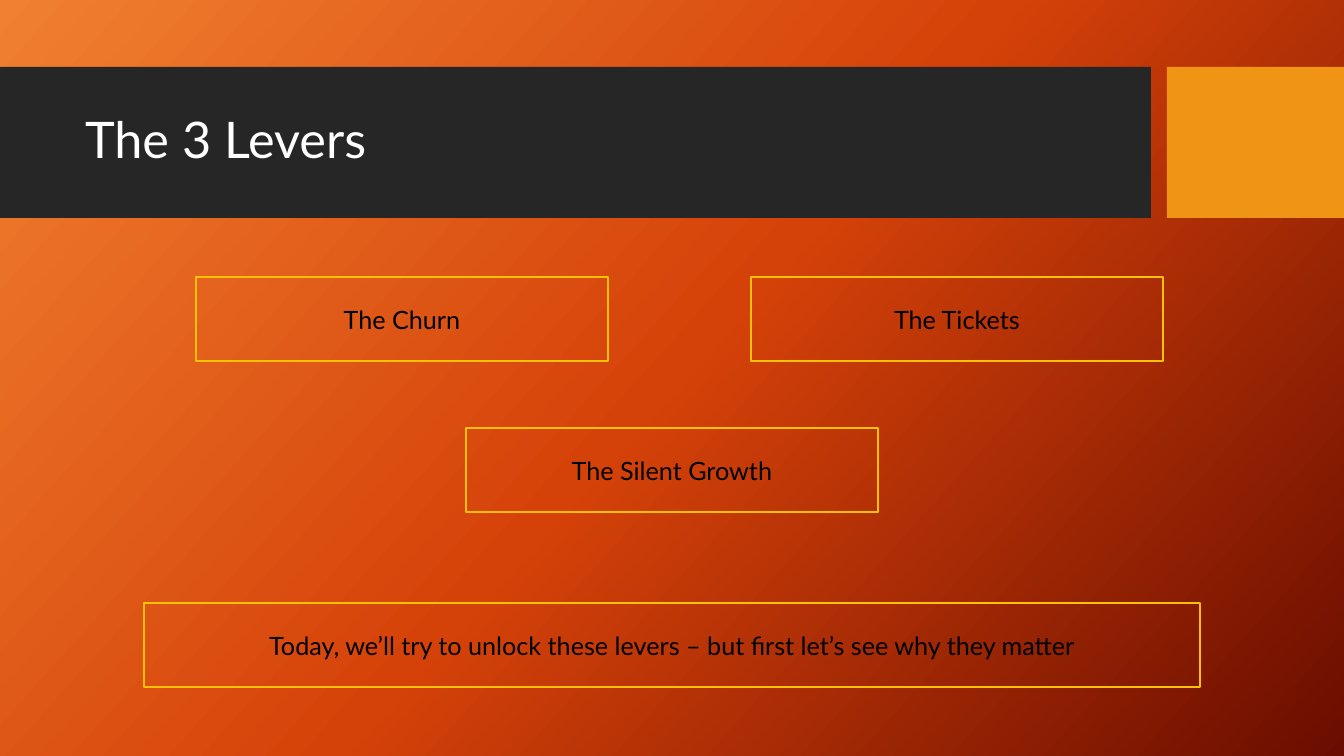
"""Build the slide that introduces the three levers."""
import copy
from dataclasses import dataclass

import pptx
import pptx.dml.color
import pptx.enum.dml
import pptx.enum.shapes
import pptx.enum.text
import pptx.oxml.ns
import pptx.presentation
import pptx.shapes.autoshape
import pptx.shapes.base
import pptx.slide
import pptx.text.text
import pptx.util

EMU_PER_PX = 914400 / 100.8
SLIDE_WIDTH, SLIDE_HEIGHT = 1344, 756
FONT = "Lato"
BAND_TOP, BAND_HEIGHT = 67, 151
BOX_WIDTH, BOX_HEIGHT = 412, 84
UPPER_ROW, MIDDLE_ROW, LOWER_ROW = 277, 428, 603
GRADIENT_STOPS = ((0, "F18031"), (0.5, "D54209"), (1, "6A0D00"))
GRADIENT_ANGLE = 42


@dataclass(frozen=True)
class Band:
    """A filled block of the header."""

    left: int
    width: int
    colour: str


@dataclass(frozen=True)
class Box:
    """An outlined box with a centred caption."""

    left: int
    top: int
    caption: str
    width: int = BOX_WIDTH


BANDS = (Band(0, 1151, "262626"), Band(1167, 177, "F09415"))
BOXES = (
    Box(196, UPPER_ROW, "The Churn"),
    Box(751, UPPER_ROW, "The Tickets"),
    Box((SLIDE_WIDTH - BOX_WIDTH) // 2, MIDDLE_ROW, "The Silent Growth"),
    Box(144, LOWER_ROW,
        "Today, we’ll try to unlock these levers – but first let’s see why they matter",
        1056),
)


def px(length: int) -> pptx.util.Emu:
    """Turn pixels into EMU."""
    return pptx.util.Emu(round(length * EMU_PER_PX))


def rgb(colour: str) -> pptx.dml.color.RGBColor:
    """Turn a hex string into a colour."""
    return pptx.dml.color.RGBColor.from_string(colour)


def paint_background(slide: pptx.slide.Slide) -> None:
    """Fill the background with the diagonal three-colour gradient."""
    fill = slide.background.fill
    fill.gradient()
    fill.gradient_angle = 360 - GRADIENT_ANGLE
    stop_list = slide.element.find(".//" + pptx.oxml.ns.qn("a:gsLst"))
    stop_list.insert(1, copy.deepcopy(stop_list[0]))
    for stop, (position, colour) in zip(fill.gradient_stops, GRADIENT_STOPS):
        stop.position = position
        stop.color.rgb = rgb(colour)


def add_rectangle(slide: pptx.slide.Slide, left: int, top: int, width: int,
                  height: int) -> pptx.shapes.autoshape.Shape:
    """Add a rectangle without a shadow."""
    shape = slide.shapes.add_shape(
        pptx.enum.shapes.MSO_SHAPE.RECTANGLE, px(left), px(top), px(width), px(height))
    shape.shadow.inherit = False
    return shape


def write_text(shape: pptx.shapes.autoshape.Shape, text: str, size: int, colour: str,
               alignment: pptx.enum.text.PP_ALIGN) -> pptx.text.text._Paragraph:
    """Put one formatted, vertically centred paragraph in a shape."""
    frame = shape.text_frame
    frame.text = text
    frame.word_wrap = True
    frame.auto_size = pptx.enum.text.MSO_AUTO_SIZE.NONE
    frame.vertical_anchor = pptx.enum.text.MSO_ANCHOR.MIDDLE
    paragraph = frame.paragraphs[0]
    paragraph.alignment = alignment
    font = paragraph.runs[0].font
    font.name = FONT
    font.size = pptx.util.Pt(size)
    font.color.rgb = rgb(colour)
    return paragraph


def draw_band(slide: pptx.slide.Slide, band: Band) -> None:
    """Draw one header block."""
    shape = add_rectangle(slide, band.left, BAND_TOP, band.width, BAND_HEIGHT)
    shape.fill.solid()
    shape.fill.fore_color.rgb = rgb(band.colour)
    shape.line.fill.background()


def draw_title(slide: pptx.slide.Slide) -> None:
    """Place the title in front of the header blocks."""
    title = slide.shapes.title
    title.left, title.top, title.width, title.height = map(px, (75, 83, 1059, 119))
    paragraph = write_text(title, "The 3 Levers", 36, "FFFFFF", pptx.enum.text.PP_ALIGN.LEFT)
    paragraph.line_spacing = 0.9
    title.element.getparent().append(title.element)


def draw_box(slide: pptx.slide.Slide, box: Box) -> None:
    """Draw one outlined box with its caption."""
    shape = add_rectangle(slide, box.left, box.top, box.width, BOX_HEIGHT)
    shape.fill.background()
    shape.line.color.rgb = rgb("FFC107")
    shape.line.width = pptx.util.Pt(1)
    write_text(shape, box.caption, 18, "000000", pptx.enum.text.PP_ALIGN.CENTER)


def main() -> None:
    """Build and save the presentation."""
    presentation = pptx.Presentation()
    presentation.slide_width = px(SLIDE_WIDTH)
    presentation.slide_height = px(SLIDE_HEIGHT)
    slide = presentation.slides.add_slide(presentation.slide_layouts.get_by_name("Title Only"))
    paint_background(slide)
    for band in BANDS:
        draw_band(slide, band)
    draw_title(slide)
    for box in BOXES:
        draw_box(slide, box)
    presentation.save("out.pptx")


if __name__ == "__main__":
    main()
